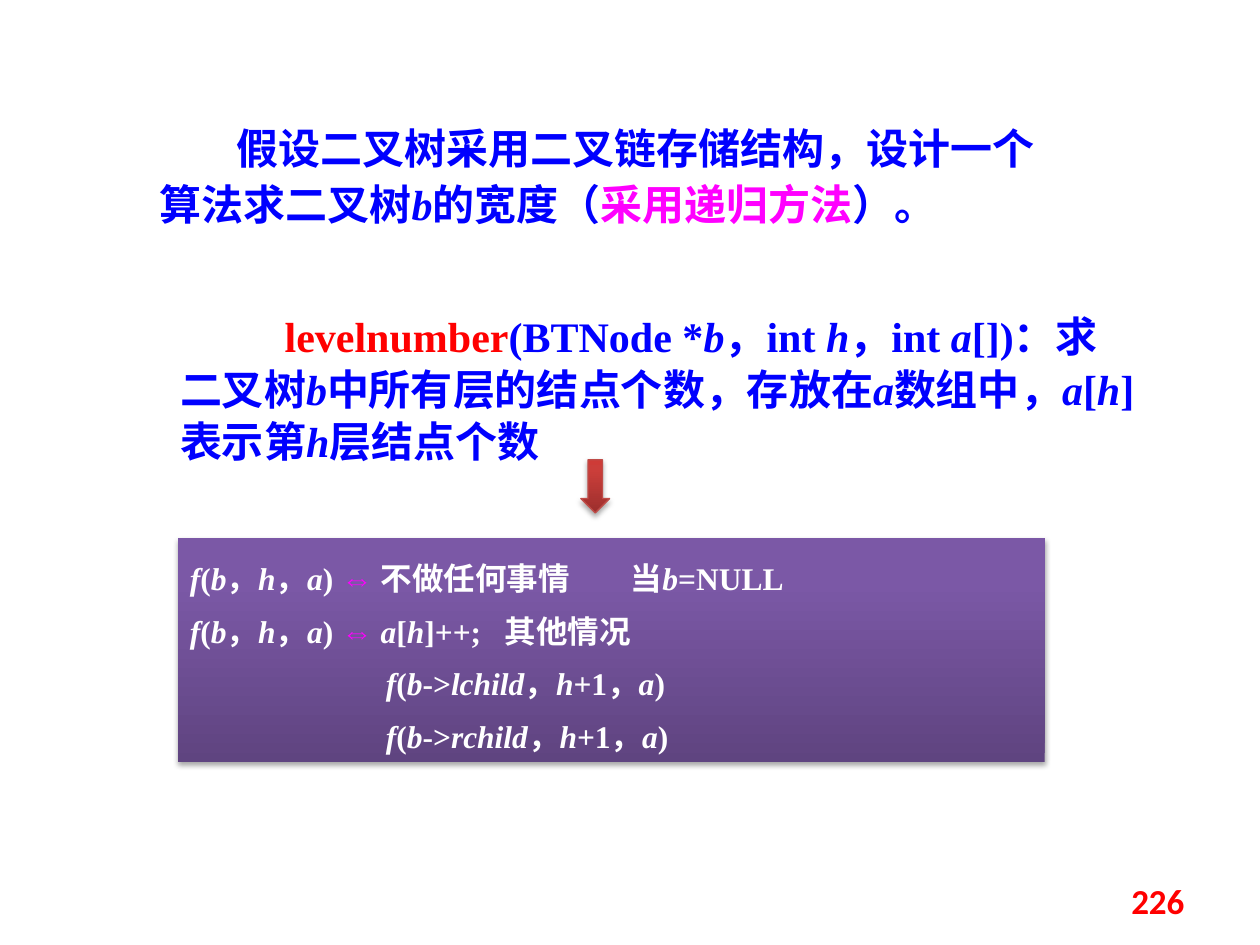
import copy
from dataclasses import dataclass

import lxml.etree
import pptx
import pptx.dml.color
import pptx.enum.shapes
import pptx.enum.text
import pptx.oxml.ns
import pptx.util

Cm = pptx.util.Cm
Pt = pptx.util.Pt
qn = pptx.oxml.ns.qn
Align = pptx.enum.text.PP_ALIGN
Anchor = pptx.enum.text.MSO_ANCHOR
ShapeKind = pptx.enum.shapes.MSO_SHAPE


@dataclass(frozen=True)
class Theme:
    serif: str = "Times New Roman"
    sans: str = "Calibri"
    blue: str = "0000FF"
    magenta: str = "FF00FF"
    red: str = "FF0000"
    white: str = "FFFFFF"
    shadow: str = "000000"
    arrow_line: str = "BF4C48"
    purple: tuple = ((0, "5F4480"), (0.8, "7B58A6"), (1, "7C57A8"))
    brick: tuple = ((0, "9C2F2D"), (0.8, "CB3E3A"), (1, "CE3B37"))
    body_size: int = 24
    formula_size: int = 18
    number_size: int = 20


THEME = Theme()


def rgb(value):
    return pptx.dml.color.RGBColor.from_string(value)


def add_paragraph(frame, pieces, *, size, font=THEME.serif, spacing=None,
                  align=Align.LEFT, first_indent=0, tab=None):
    """Write (text, colour) pieces; words between underscores are italic."""
    first = frame.paragraphs[0]
    paragraph = frame.add_paragraph() if first.runs else first
    properties = paragraph._p.get_or_add_pPr()
    properties.set("indent", str(Cm(first_indent)))
    if tab:
        tab_list = lxml.etree.SubElement(properties, qn("a:tabLst"))
        lxml.etree.SubElement(tab_list, qn("a:tab"), pos=str(Cm(tab)), algn="l")
    paragraph.alignment = align
    if spacing:
        paragraph.line_spacing = Pt(spacing)
    for marked_text, colour in pieces:
        for index, text in enumerate(marked_text.split("_")):
            if text:
                run = paragraph.add_run()
                run.text = text
                run.font.name = font
                run.font.size = Pt(size)
                run.font.bold = True
                run.font.italic = index % 2 == 1
                run.font.color.rgb = rgb(colour)


def add_text_box(slide, left, top, width, height, anchor=Anchor.TOP):
    shape = slide.shapes.add_textbox(Cm(left), Cm(top), Cm(width), Cm(height))
    shape.text_frame.word_wrap = True
    shape.text_frame.vertical_anchor = anchor
    return shape.text_frame


def add_gradient_shape(slide, kind, left, top, width, height, stops, line=None):
    shape = slide.shapes.add_shape(kind, Cm(left), Cm(top), Cm(width), Cm(height))

    # Upward gradient with one extra stop
    shape.fill.gradient()
    shape.fill.gradient_angle = 90
    stop_list = shape._element.spPr.find(qn("a:gradFill")).find(qn("a:gsLst"))
    stop_list.append(copy.deepcopy(stop_list[-1]))
    for stop, (position, colour) in zip(shape.fill.gradient_stops, stops):
        stop.position = position
        stop.color.rgb = rgb(colour)

    # Outline
    if line:
        shape.line.color.rgb = rgb(line)
        shape.line.width = Pt(0.75)
    else:
        shape.line.fill.background()

    # Soft shadow below
    shape.shadow.inherit = False
    effects = shape._element.spPr.find(qn("a:effectLst"))
    shadow = lxml.etree.SubElement(
        effects, qn("a:outerShdw"), blurRad=str(Pt(3.1)), dist=str(Pt(1.8)),
        dir="5400000", rotWithShape="0")
    colour = lxml.etree.SubElement(shadow, qn("a:srgbClr"), val=THEME.shadow)
    lxml.etree.SubElement(colour, qn("a:alpha"), val="35000")
    return shape


def add_formula(slide):
    box = add_gradient_shape(slide, ShapeKind.RECTANGLE, 3.58, 10.85, 17.48, 4.52,
                             THEME.purple)
    frame = box.text_frame
    frame.word_wrap = True
    frame.vertical_anchor = Anchor.TOP
    style = {"size": THEME.formula_size, "spacing": 30}

    # Cases of the recursive model
    for result in ("不做任何事情\t当_b_=NULL", "_a_[_h_]++;\t其他情况"):
        pieces = [("_f_(_b_，_h_，_a_) ", THEME.white),
                  ("⇔ ", THEME.magenta), (result, THEME.white)]
        add_paragraph(frame, pieces, tab=12.7, **style)

    # Recursive calls
    for child in ("lchild", "rchild"):
        call = f"_f_(_b_->_{child}_，_h_+1，_a_)"
        add_paragraph(frame, [(call, THEME.white)], first_indent=3.95, **style)


def main():
    presentation = pptx.Presentation()
    presentation.slide_width = Cm(25.4)
    presentation.slide_height = Cm(19.05)
    slide = presentation.slides.add_slide(presentation.slide_layouts[6])

    # Problem
    problem = add_text_box(slide, 2.97, 2.24, 18.85, 2.54)
    add_paragraph(problem, [
        ("假设二叉树采用二叉链存储结构，设计一个算法求二叉树_b_的宽度（", THEME.blue),
        ("采用递归方法", THEME.magenta),
        ("）。", THEME.blue),
    ], size=THEME.body_size, spacing=32, first_indent=1.55)

    # Function description
    description = add_text_box(slide, 3.38, 6.1, 19.84, 3.38)
    add_paragraph(description, [
        ("levelnumber", THEME.red),
        ("(BTNode *_b_，int _h_，int _a_[])：求二叉树_b_中所有层的结点个数，"
         "存放在_a_数组中，_a_[_h_]表示第_h_层结点个数", THEME.blue),
    ], size=THEME.body_size, spacing=30, first_indent=2.11)

    # Recursive model and the arrow leading to it
    add_formula(slide)
    add_gradient_shape(slide, ShapeKind.DOWN_ARROW, 11.71, 9.27, 0.58, 1.07,
                       THEME.brick, line=THEME.arrow_line)

    # Page number
    number = add_text_box(slide, 18.21, 17.65, 5.92, 1.02, Anchor.MIDDLE)
    add_paragraph(number, [("226", THEME.red)], size=THEME.number_size,
                  font=THEME.sans, align=Align.RIGHT)

    presentation.save("out.pptx")


if __name__ == "__main__":
    main()
